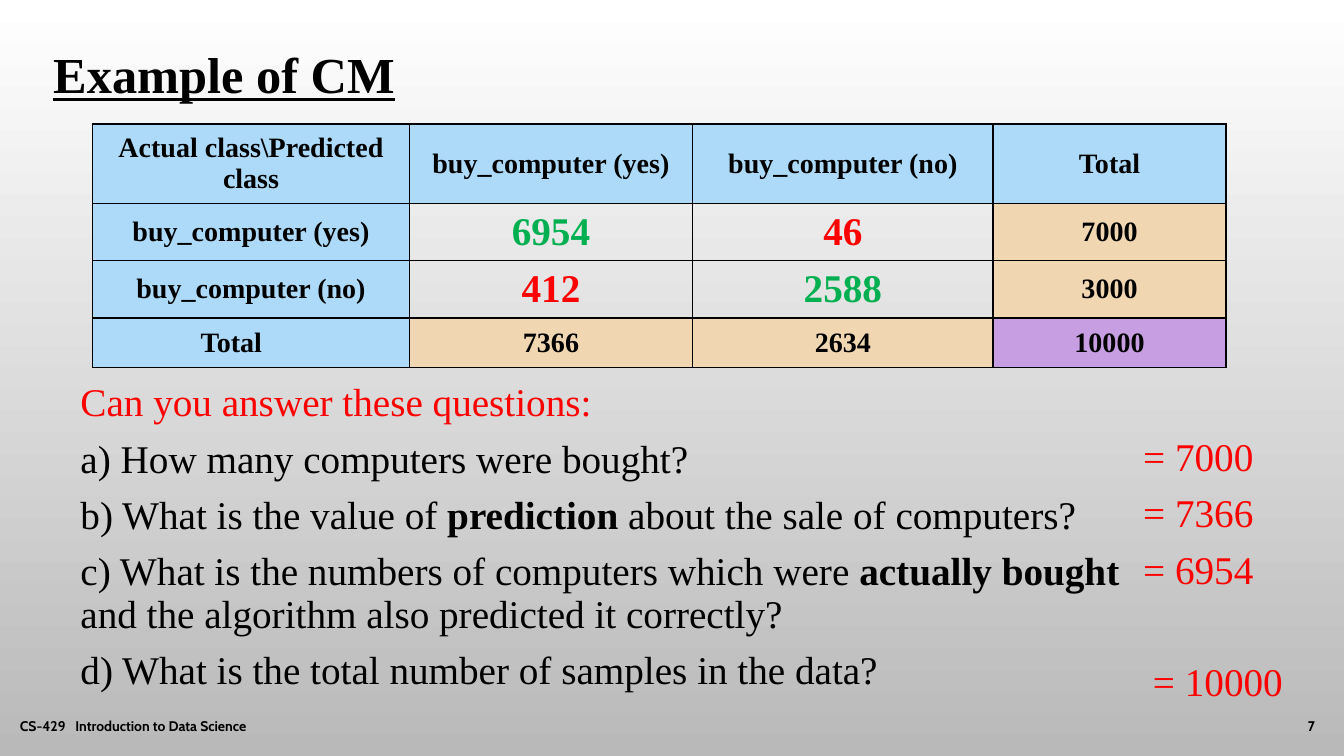
import pptx
import pptx.dml.color
import pptx.enum.text
import pptx.oxml
import pptx.oxml.ns
import pptx.util
from pptx.util import Inches

COLORS = {
    "black": "000000",
    "red": "FF0000",
    "green": "00B050",
    "header": "ACDAF8",
    "total": "F0D7B2",
    "grand_total": "C89EE3",
    "top": "FFFFFF",
    "bottom": "B9B9B9",
}
ALIGN = pptx.enum.text.PP_ALIGN
ANCHOR = pptx.enum.text.MSO_ANCHOR
NAMESPACE = pptx.oxml.ns.nsdecls("a")


def rgb(color):
    return pptx.dml.color.RGBColor.from_string(COLORS[color])


class SlideBuilder:
    serif = "Times New Roman"
    sans = "Cabin"

    def __init__(self, presentation):
        self.slide = presentation.slides.add_slide(presentation.slide_layouts[6])

    def background(self, top, bottom):
        fill = self.slide.background.fill
        fill.gradient()
        fill.gradient_angle = 270
        for stop, color in zip(fill.gradient_stops, (top, bottom)):
            stop.color.rgb = rgb(color)

    def style(self, paragraph, size, color="black", bold=False, face=None, align=ALIGN.LEFT):
        paragraph.alignment = align
        font = paragraph.font
        font.name = face or self.serif
        font.size = pptx.util.Pt(size)
        font.color.rgb = rgb(color)
        if bold:
            font.bold = True

    def frame(self, left, top, width, height, anchor=ANCHOR.TOP):
        box = self.slide.shapes.add_textbox(*map(Inches, (left, top, width, height)))
        box.text_frame.word_wrap = True
        box.text_frame.vertical_anchor = anchor
        return box.text_frame

    def title(self, text, *place):
        heading = self.frame(*place).paragraphs[0]
        heading.text = text
        self.style(heading, 36, bold=True)
        heading.font.underline = True

    def footer(self, text, *place, align=ALIGN.LEFT, tab=None):
        line = self.frame(*place, anchor=ANCHOR.MIDDLE).paragraphs[0]
        line.text = text
        line.alignment = align
        if tab:
            line._p.get_or_add_pPr().append(pptx.oxml.parse_xml(
                f'<a:tabLst {NAMESPACE}><a:tab pos="{Inches(tab)}" algn="l"/></a:tabLst>'))
        self.style(line, 10, bold=True, face=self.sans, align=align)

    def body(self, lines, *place, inset=0.05):
        frame = self.frame(*place)
        frame.margin_top = Inches(inset)
        for index, (parts, color, gap) in enumerate(lines):
            paragraph = frame.add_paragraph() if index else frame.paragraphs[0]
            paragraph.line_spacing = 0.9
            paragraph.space_before = pptx.util.Pt(gap)
            self.style(paragraph, 28, color)
            for position, part in enumerate(parts):
                run = paragraph.add_run()
                run.text = part
                if position % 2:
                    run.font.bold = True

    def border(self, cell):
        properties = cell._tc.get_or_add_tcPr()
        for side in "LRTB":
            properties.append(pptx.oxml.parse_xml(
                f'<a:ln{side} {NAMESPACE} w="12700"><a:solidFill>'
                f'<a:srgbClr val="{COLORS["black"]}"/></a:solidFill></a:ln{side}>'))

    def matrix(self, rows, widths, heights, left, top):
        table = self.slide.shapes.add_table(
            len(rows), len(widths), Inches(left), Inches(top),
            Inches(sum(widths)), Inches(sum(heights))).table
        table.first_row = table.horz_banding = False
        for column, width in zip(table.columns, widths):
            column.width = Inches(width)
        last_row, last_column = len(rows) - 1, len(widths) - 1
        for r, values in enumerate(rows):
            table.rows[r].height = Inches(heights[r])
            for c, value in enumerate(values):
                cell = table.cell(r, c)
                cell.text = value
                cell.vertical_anchor = ANCHOR.MIDDLE
                self.border(cell)
                size, color, fill = 20, "black", None
                if r == 0 or c == 0:
                    fill = "header"
                elif r == last_row and c == last_column:
                    fill = "grand_total"
                elif r == last_row or c == last_column:
                    fill = "total"
                else:
                    size, color = 28, "green" if r == c else "red"
                if fill:
                    cell.fill.solid()
                    cell.fill.fore_color.rgb = rgb(fill)
                else:
                    cell.fill.background()
                self.style(cell.text_frame.paragraphs[0], size, color, True, align=ALIGN.CENTER)


def main():
    presentation = pptx.Presentation()
    presentation.slide_width = Inches(13.33)
    presentation.slide_height = Inches(7.5)
    builder = SlideBuilder(presentation)
    builder.background("top", "bottom")
    builder.title("Example of CM", 0.43, 0.38, 12.23, 0.71)
    builder.footer("CS-429\tIntroduction to Data Science", 0.1, 7, 7.3, 0.4, tab=0.55)
    builder.footer("7", 12.3, 7, 0.84, 0.4, align=ALIGN.RIGHT)

    questions = [
        (["Can you answer these questions:"], "red", 10),
        (["a) How many computers were bought?"], "black", 10),
        (["b) What is the value of ", "prediction", " about the sale of computers?"], "black", 10),
        (["c) What is the numbers of computers which were ", "actually bought ",
          "and the algorithm also predicted it correctly?"], "black", 10),
        (["d) What is the total number of samples in the data?"], "black", 10),
    ]
    builder.body(questions, 0.7, 3.75, 10.84, 3.4)

    yes, no = "buy_computer (yes)", "buy_computer (no)"
    confusion = [
        ["Actual class\\Predicted class", yes, no, "Total"],
        [yes, "6954", "46", "7000"],
        [no, "412", "2588", "3000"],
        ["Total\t", "7366", "2634", "10000"],
    ]
    builder.matrix(confusion, [3.14, 2.81, 2.98, 2.31], [0.79, 0.56, 0.56, 0.49], 0.92, 1.23)

    answers = [
        (["= 7000"], "red", 10),
        (["= 7366"], "red", 10),
        (["= 6954"], "red", 10),
        ([" = 10000"], "red", 50),
    ]
    builder.body(answers, 11.24, 3.73, 1.89, 3.4, inset=0.61)
    presentation.save("out.pptx")


if __name__ == "__main__":
    main()
